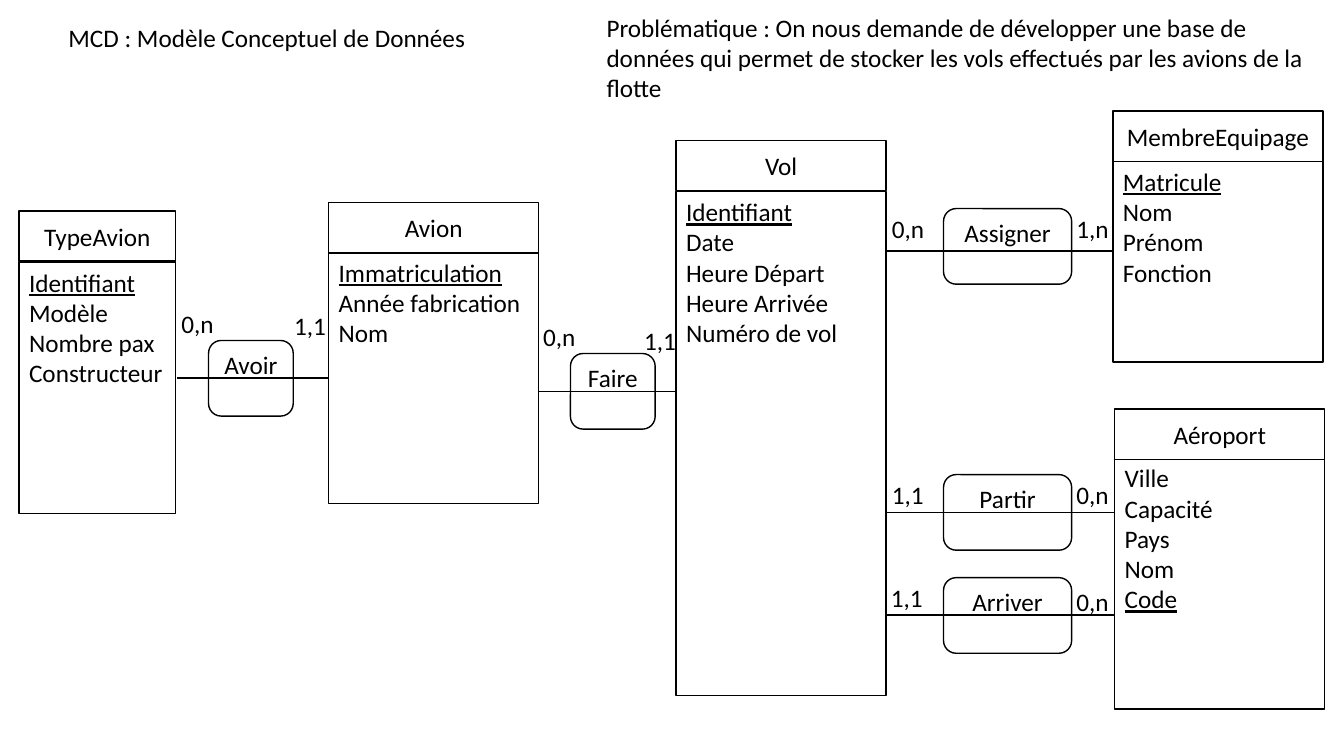
from dataclasses import dataclass

from lxml import etree
from pptx import Presentation
from pptx.dml.color import RGBColor
from pptx.enum.shapes import MSO_CONNECTOR, MSO_SHAPE
from pptx.enum.text import MSO_ANCHOR, MSO_AUTO_SIZE, PP_ALIGN
from pptx.oxml.ns import qn
from pptx.util import Pt

RECTANGLE, ROUNDED = MSO_SHAPE.RECTANGLE, MSO_SHAPE.ROUNDED_RECTANGLE
STRAIGHT = MSO_CONNECTOR.STRAIGHT
TOP, MIDDLE = MSO_ANCHOR.TOP, MSO_ANCHOR.MIDDLE
LEFT, CENTER = PP_ALIGN.LEFT, PP_ALIGN.CENTER
FIT_SHAPE = MSO_AUTO_SIZE.SHAPE_TO_FIT_TEXT
LEFT_SIDE = 1


@dataclass(frozen=True)
class Theme:
    ink: RGBColor = RGBColor(0, 0, 0)
    paper: RGBColor = RGBColor(255, 255, 255)
    font: str = "Calibri"
    size: Pt = Pt(18)
    line: Pt = Pt(1)


theme = Theme()

HEADER_HEIGHT = 36
ASSOCIATION_HEIGHT = 54
LABEL_SIZE = (38, 29)

# name: left, width, header top, body top, body height, attributes, key
ENTITIES = {
    "Vol": (483, 150, 100.2, 136.8, 360,
            ["Identifiant", "Date", "Heure Départ", "Heure Arrivée", "Numéro de vol"],
            "Identifiant"),
    "Avion": (234.8, 150, 144.7, 180.2, 179.4,
              ["Immatriculation", "Année fabrication", "Nom"], "Immatriculation"),
    "Aéroport": (796.3, 150, 292.2, 327, 179.4,
                 ["Ville", "Capacité", "Pays", "Nom", "Code"], "Code"),
    "MembreEquipage": (795, 150, 79.2, 115.2, 143.3,
                       ["Matricule", "Nom", "Prénom", "Fonction"], "Matricule"),
    "TypeAvion": (13.7, 111.6, 150.6, 187.2, 179.4,
                  ["Identifiant", "Modèle", "Nombre pax", "Constructeur"], "Identifiant"),
}

# name: left, top, width, line (start, end, height), cardinalities (text, left, top)
ASSOCIATIONS = {
    "Partir": (674, 339, 91.5, (633.5, 796.3, 366),
               [("1,1", 630, 339), ("0,n", 761.8, 339)]),
    "Arriver": (674, 412.6, 91.5, (633.5, 796.3, 439.4),
                [("1,1", 629.3, 412.6), ("0,n", 761.8, 415.4)]),
    "Faire": (407.5, 252.5, 60.5, (385, 483, 279.5),
              [("0,n", 380.9, 226), ("1,1", 453, 229)]),
    "Avoir": (149, 243.2, 60.5, (126.7, 234.8, 269.9),
              [("0,n", 122.4, 216.7), ("1,1", 203, 218.2)]),
    "Assigner": (674, 149, 91.5, (632.3, 795, 179.4),
                 [("0,n", 630, 149), ("1,n", 761.8, 149)]),
}


def write(shape, lines, key=None, align=LEFT, **frame_format):
    """Fill a shape with one paragraph per line, underlining the key."""
    frame = shape.text_frame
    for name, value in frame_format.items():
        setattr(frame, name, value)
    for index, line in enumerate(lines):
        para = frame.add_paragraph() if index else frame.paragraphs[0]
        para.alignment = align
        span = para.add_run()
        span.text = line
        font_format = {"name": theme.font, "size": theme.size, "underline": line == key}
        for name, value in font_format.items():
            setattr(span.font, name, value)
        span.font.color.rgb = theme.ink


def add_box(kind, *bounds):
    box = page.shapes.add_shape(kind, *map(Pt, bounds))
    box.shadow.inherit = False
    box.fill.solid()
    box.fill.fore_color.rgb = theme.paper
    box.line.color.rgb = theme.ink
    box.line.width = theme.line
    return box


deck = Presentation()
deck.slide_width, deck.slide_height = Pt(960), Pt(540)
page = deck.slides.add_slide(deck.slide_layouts[6])

problem = page.shapes.add_textbox(Pt(426.2), Pt(5), Pt(534), Pt(72.7))
write(problem, ["Problématique : On nous demande de développer une base de données "
                "qui permet de stocker les vols effectués par les avions de la flotte"],
      word_wrap=True, auto_size=FIT_SHAPE)
title = page.shapes.add_textbox(Pt(41.8), Pt(12.2), Pt(301.7), Pt(29))
write(title, ["MCD : Modèle Conceptuel de Données"], word_wrap=False, auto_size=FIT_SHAPE)

bodies = {}
for name, (left, width, header_top, body_top, height, attributes, key) in ENTITIES.items():
    bodies[name] = add_box(RECTANGLE, left, body_top, width, height)
    write(bodies[name], attributes, key, vertical_anchor=TOP)
    header = add_box(RECTANGLE, left, header_top, width, HEADER_HEIGHT)
    write(header, [name], align=CENTER, vertical_anchor=MIDDLE)

for name, (left, top, width, (start, end, level), labels) in ASSOCIATIONS.items():
    association = add_box(ROUNDED, left, top, width, ASSOCIATION_HEIGHT)
    write(association, [name], align=CENTER, vertical_anchor=TOP)

    link = page.shapes.add_connector(STRAIGHT, Pt(start), Pt(level), Pt(end), Pt(level))
    link.line.color.rgb = theme.ink
    link.line.width = theme.line
    etree.SubElement(link._element.spPr, qn("a:effectLst"))
    if name == "Avoir":
        link.end_connect(bodies["Avion"], LEFT_SIDE)

    for text, label_left, label_top in labels:
        label = page.shapes.add_textbox(Pt(label_left), Pt(label_top), *map(Pt, LABEL_SIZE))
        write(label, [text], word_wrap=False, auto_size=FIT_SHAPE)

deck.save("out.pptx")
